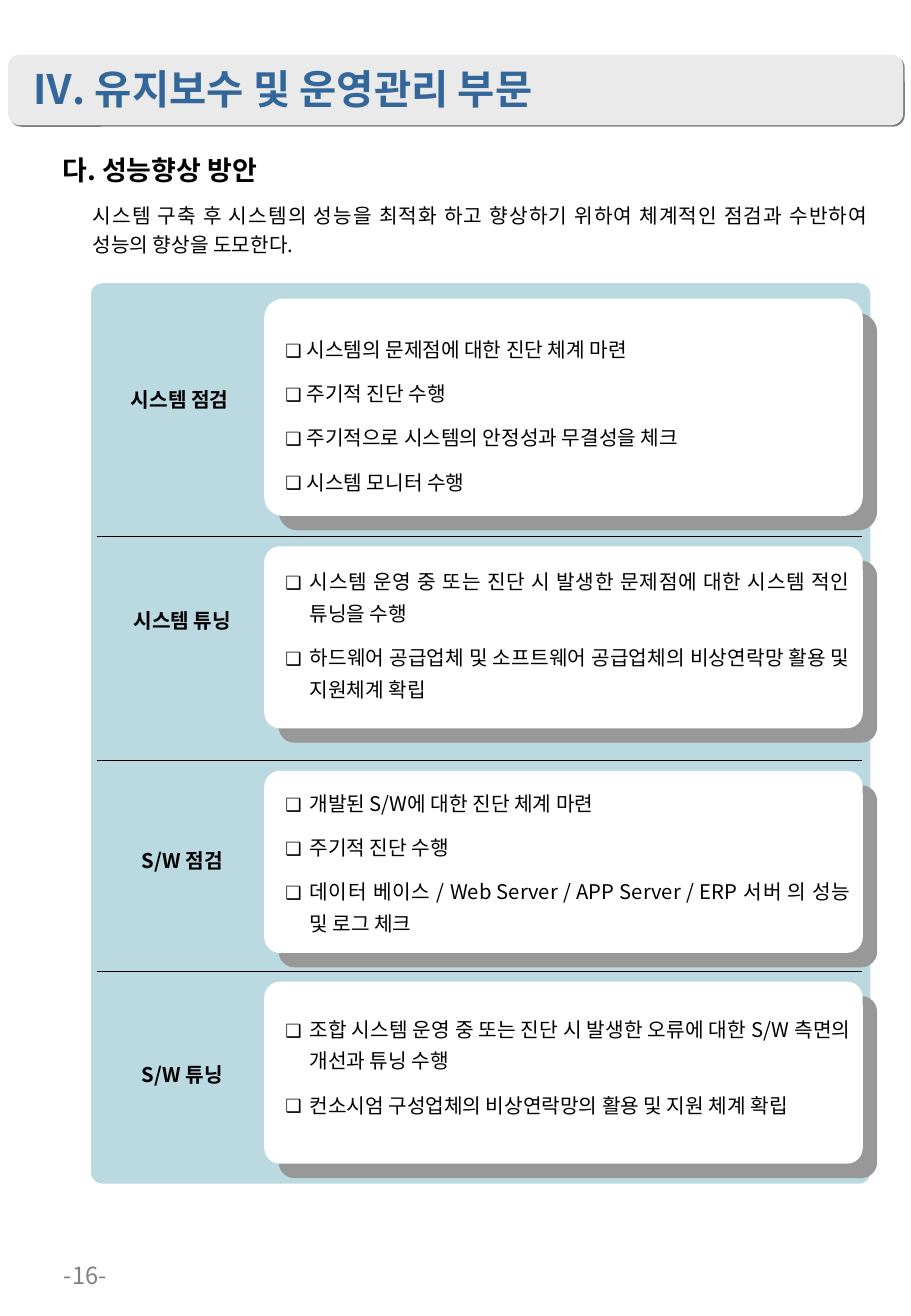
from dataclasses import dataclass

from lxml.etree import SubElement
from pptx import Presentation
from pptx.dml.color import RGBColor
from pptx.enum.shapes import MSO_CONNECTOR, MSO_SHAPE
from pptx.enum.text import PP_ALIGN as ALIGN
from pptx.oxml.ns import qn
from pptx.util import Pt


@dataclass(frozen=True)
class Theme:
    font: str = "Noto Sans CJK KR"
    ink: str = "000000"
    heading: str = "336699"
    page_number: str = "808080"
    header_fill: str = "EAEAEA"
    header_shadow: str = "808080"
    panel: str = "BAD9E0"
    card: str = "FFFFFF"
    card_shadow: str = "989898"
    heading_size: int = 24
    title_size: int = 16
    page_size: int = 14
    body_size: int = 12


theme = Theme()
presentation = Presentation()
presentation.slide_width, presentation.slide_height = Pt(540), Pt(780.48)
slide = presentation.slides.add_slide(presentation.slide_layouts[6])


def add_box(left, top, width, height, radius, fill, shadow=None, distance=0):
    """Add a borderless rounded box; its shadow falls to the lower right."""
    box = slide.shapes.add_shape(
        MSO_SHAPE.ROUNDED_RECTANGLE, Pt(left), Pt(top), Pt(width), Pt(height))
    box.adjustments[0] = radius / min(width, height)
    box.fill.solid()
    box.fill.fore_color.rgb = RGBColor.from_string(fill)
    box.line.fill.background()
    box.shadow.inherit = False
    if shadow:
        effects = box._element.spPr.find(qn("a:effectLst"))
        outer = SubElement(effects, qn("a:outerShdw"), blurRad="0",
                           dist=str(Pt(distance)), dir="2700000",
                           algn="ctr", rotWithShape="0")
        SubElement(outer, qn("a:srgbClr"), val=shadow)


def add_text(left, top, width, height, lines, size=theme.body_size,
             color=theme.ink, bold=False, align=ALIGN.LEFT, spacing=1.0,
             bullet_indent=0):
    frame = slide.shapes.add_textbox(
        Pt(left), Pt(top), Pt(width), Pt(height)).text_frame
    frame.word_wrap = True
    frame.text = "\n".join(lines)
    for number, paragraph in enumerate(frame.paragraphs):
        paragraph.alignment = align
        paragraph.line_spacing = spacing
        paragraph.space_before = Pt(7.5 if number else 0)
        if bullet_indent:
            properties = paragraph._p.get_or_add_pPr()
            properties.set("marL", str(Pt(bullet_indent)))
            properties.set("indent", str(-Pt(bullet_indent)))
            bullet_color = SubElement(properties, qn("a:buClr"))
            SubElement(bullet_color, qn("a:srgbClr"), val=color)
            SubElement(properties, qn("a:buSzPct"), val="90000")
            SubElement(properties, qn("a:buFont"), typeface=theme.font)
            SubElement(properties, qn("a:buChar"), char="❑")
        for run in paragraph.runs:
            run.font.size = Pt(size)
            run.font.bold = bold
            run.font.color.rgb = RGBColor.from_string(color)
            run.font.name = theme.font
            SubElement(run._r.get_or_add_rPr(), qn("a:ea"), typeface=theme.font)


# Page frame and introduction
add_text(4.1, 744.5, 66.2, 43, ["-16-"], theme.page_size, theme.page_number,
         align=ALIGN.RIGHT)
add_box(4.8, 32.4, 530.6, 41.8, 7, theme.header_fill, theme.header_shadow, 1.4)
add_text(12, 34.6, 455.8, 38.9, ["Ⅳ. 유지보수 및 운영관리 부문"],
         theme.heading_size, theme.heading, bold=True)
add_text(30, 80, 455.8, 68.4, ["다. 성능향상 방안"], theme.title_size,
         bold=True, spacing=1.4)
add_text(47.8, 114, 474.2, 41.8,
         ["시스템 구축 후 시스템의 성능을 최적화 하고 향상하기 위하여 "
          "체계적인 점검과 수반하여 성능의 향상을 도모한다."],
         align=ALIGN.JUSTIFY, spacing=1.2)

# Panel of four sections
add_box(54, 168, 462, 534, 6.8, theme.panel)

# label, label left, label top, card top, card height, list top, indent, items
sections = [
    ("시스템 점검", 57, 223.2, 177.1, 128.9, 192.2, 12.6,
     ["시스템의 문제점에 대한 진단 체계 마련",
      "주기적 진단 수행",
      "주기적으로 시스템의 안정성과 무결성을 체크",
      "시스템 모니터 수행"]),
    ("시스템 튜닝", 58.6, 354.2, 324, 108, 330, 14.4,
     ["시스템 운영 중 또는 진단 시 발생한 문제점에 대한 시스템 적인 튜닝을 수행",
      "하드웨어 공급업체 및 소프트웨어 공급업체의 비상연락망 활용 및 지원체계 확립"]),
    ("S/W 점검", 58.6, 496.8, 457.2, 108, 461.5, 14.4,
     ["개발된 S/W에 대한 진단 체계 마련",
      "주기적 진단 수행",
      "데이터 베이스 / Web Server / APP Server / ERP 서버 의 성능 및 로그 체크"]),
    ("S/W 튜닝", 58.6, 623.5, 582.2, 108, 595.4, 14.4,
     ["조합 시스템 운영 중 또는 진단 시 발생한 오류에 대한 S/W 측면의 개선과 튜닝 수행",
      "컨소시엄 구성업체의 비상연락망의 활용 및 지원 체계 확립"]),
]

for number, section in enumerate(sections):
    (label, label_left, label_top, card_top, card_height,
     list_top, indent, items) = section
    if number:
        divider_y = Pt(card_top - 6)
        divider = slide.shapes.add_connector(
            MSO_CONNECTOR.STRAIGHT, Pt(57.6), divider_y, Pt(511.2), divider_y)
        divider.line.color.rgb = RGBColor.from_string(theme.ink)
        divider.line.width = Pt(0.5)
        SubElement(divider._element.spPr, qn("a:effectLst"))
    add_box(156.6, card_top, 354.8, card_height, 0.087 * card_height,
            theme.card, theme.card_shadow, 12.1)
    add_text(label_left, label_top, 99, 24.5, [label], bold=True,
             align=ALIGN.CENTER, spacing=1.2)
    add_text(162, list_top, 349.2, card_top + card_height - list_top - 8, items,
             align=ALIGN.JUSTIFY, spacing=1.3, bullet_indent=indent)

presentation.save("out.pptx")
